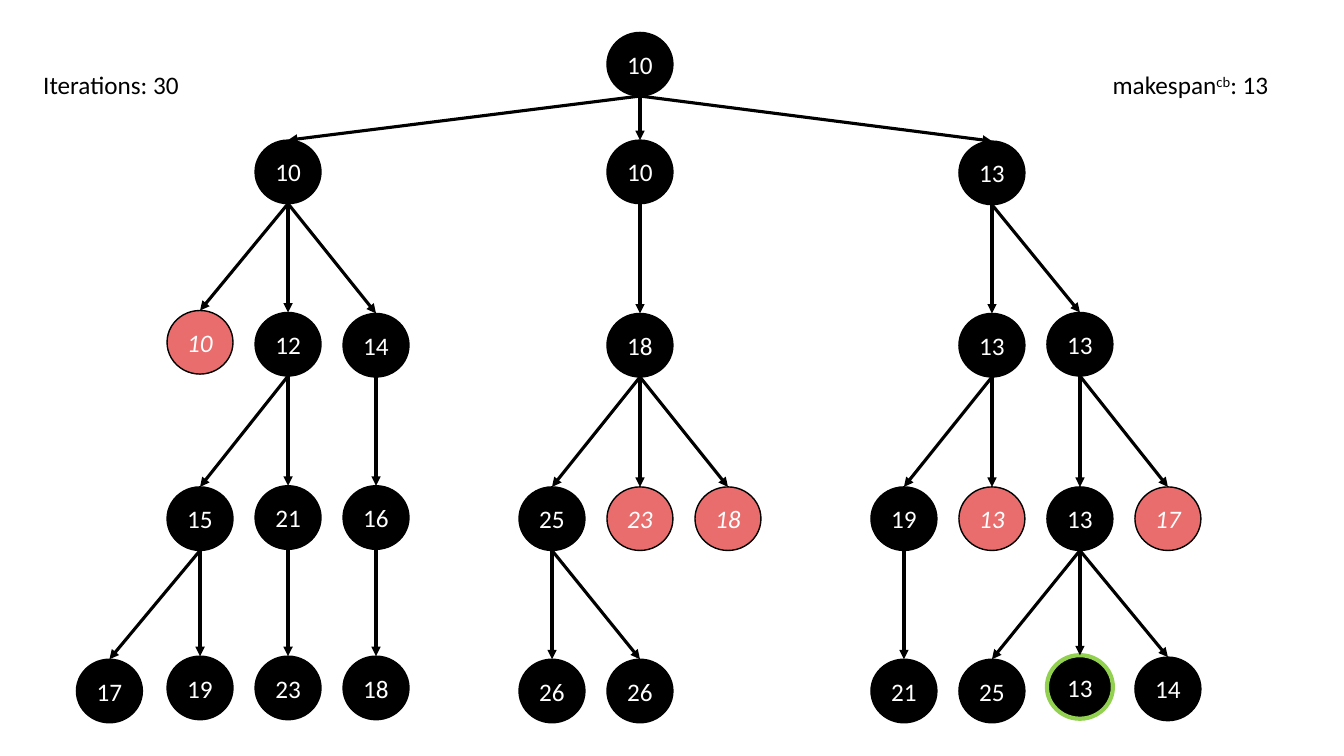
from lxml import etree
from pptx import Presentation
from pptx import util as u
from pptx.dml.color import RGBColor
from pptx.enum import shapes, text
from pptx.oxml import ns

BLACK = RGBColor(0x00, 0x00, 0x00)
WHITE = RGBColor(0xFF, 0xFF, 0xFF)
RED = RGBColor(0xE9, 0x6D, 0x6D)
GREEN = RGBColor(0x92, 0xD0, 0x50)

NODE_WIDTH, NODE_HEIGHT = 47.1, 45.4
MIDDLE_LEFT, COLUMN_STEP = 433.6, 62.85
TOP_SITE, BOTTOM_SITE = 0, 4

# Node key: (column from the middle, top, makespan, state).
# Dropping the last letter of a key gives its parent.
NODES = {
    "r": (0, 23.2, "10", "open"),
    "ra": (-4, 100.1, "10", "open"),
    "rb": (0, 100.1, "10", "open"),
    "rc": (4, 100.8, "13", "open"),
    "raa": (-5, 221.8, "10", "pruned"),
    "rab": (-4, 223.2, "12", "open"),
    "rac": (-3, 223.9, "14", "open"),
    "rba": (0, 223.9, "18", "open"),
    "rca": (4, 223.9, "13", "open"),
    "rcb": (5, 223.2, "13", "open"),
    "raba": (-5, 347.8, "15", "open"),
    "rabb": (-4, 347, "21", "open"),
    "raca": (-3, 347, "16", "open"),
    "rbaa": (-1, 347.8, "25", "open"),
    "rbab": (0, 347.8, "23", "pruned"),
    "rbac": (1, 347.8, "18", "pruned"),
    "rcaa": (3, 347.8, "19", "open"),
    "rcab": (4, 347.8, "13", "pruned"),
    "rcba": (5, 347.8, "13", "open"),
    "rcbb": (6, 347.8, "17", "pruned"),
    "rabaa": (-6.03, 470.9, "17", "open"),
    "rabab": (-5, 468.7, "19", "open"),
    "rabba": (-4, 468.7, "23", "open"),
    "racaa": (-3, 468.7, "18", "open"),
    "rbaaa": (-1, 470.9, "26", "open"),
    "rbaab": (0, 470.9, "26", "open"),
    "rcaaa": (3, 470.9, "21", "open"),
    "rcbaa": (4, 470.9, "25", "open"),
    "rcbab": (5, 468, "13", "best"),
    "rcbac": (6, 469.4, "14", "open"),
}
# State: fill, outline, outline width, italic
STATES = {
    "open": (BLACK, BLACK, 1, False),
    "pruned": (RED, BLACK, 1, True),
    "best": (BLACK, GREEN, 3, False),
}


def add_span(para, words, **formats):
    span = para.add_run()
    span.text = words
    for name, value in {"name": "Calibri", "size": u.Pt(18), **formats}.items():
        setattr(span.font, name, value)
    return span


deck = Presentation()
deck.slide_width, deck.slide_height = u.Pt(960), u.Pt(540)
page = deck.slides.add_slide(deck.slide_layouts[6])

# Tree nodes
circles = {}
for key, (column, top, makespan, state) in NODES.items():
    fill, outline, width, italic = STATES[state]
    circle = page.shapes.add_shape(
        shapes.MSO_SHAPE.FLOWCHART_CONNECTOR,
        u.Pt(MIDDLE_LEFT + column * COLUMN_STEP), u.Pt(top),
        u.Pt(NODE_WIDTH), u.Pt(NODE_HEIGHT))
    circle.shadow.inherit = False
    circle.fill.solid()
    circle.fill.fore_color.rgb = fill
    circle.line.color.rgb = outline
    circle.line.width = u.Pt(width)
    circle.text_frame.vertical_anchor = text.MSO_ANCHOR.MIDDLE
    para = circle.text_frame.paragraphs[0]
    para.alignment = text.PP_ALIGN.CENTER
    add_span(para, makespan, italic=italic).font.color.rgb = WHITE
    circles[key] = circle

# Arrows from each parent to its children
for key, child in circles.items():
    if key == "r":
        continue
    arrow = page.shapes.add_connector(shapes.MSO_CONNECTOR.STRAIGHT, 0, 0, 0, 0)
    arrow.begin_connect(circles[key[:-1]], 2)
    arrow.end_connect(child, TOP_SITE)
    # A circle has eight connection sites, so its bottom is number 4
    start = arrow.element.find(".//" + ns.qn("a:stCxn"))
    start.set("idx", str(BOTTOM_SITE))
    arrow.line.color.rgb = BLACK
    arrow.line.width = u.Pt(2.25)
    outline = arrow.line._get_or_add_ln()
    etree.SubElement(outline, ns.qn("a:tailEnd"), type="triangle")
    etree.SubElement(arrow.element.spPr, ns.qn("a:effectLst"))

# Labels: left, width, wrap, spans with their baseline
LABELS = [
    (23.8, 112.3, False, [("Iterations: 30", False)]),
    (787.7, 148.3, True, [("makespan", False), ("cb", True), (": 13", False)]),
]
for left, width, wrap, spans in LABELS:
    box = page.shapes.add_textbox(u.Pt(left), u.Pt(46.1), u.Pt(width), u.Pt(29.1))
    box.text_frame.word_wrap = wrap
    box.text_frame.auto_size = text.MSO_AUTO_SIZE.SHAPE_TO_FIT_TEXT
    for words, raised in spans:
        span = add_span(box.text_frame.paragraphs[0], words)
        span.font.color.rgb = BLACK
        if raised:
            span.font._element.set("baseline", "30000")

deck.save("out.pptx")
